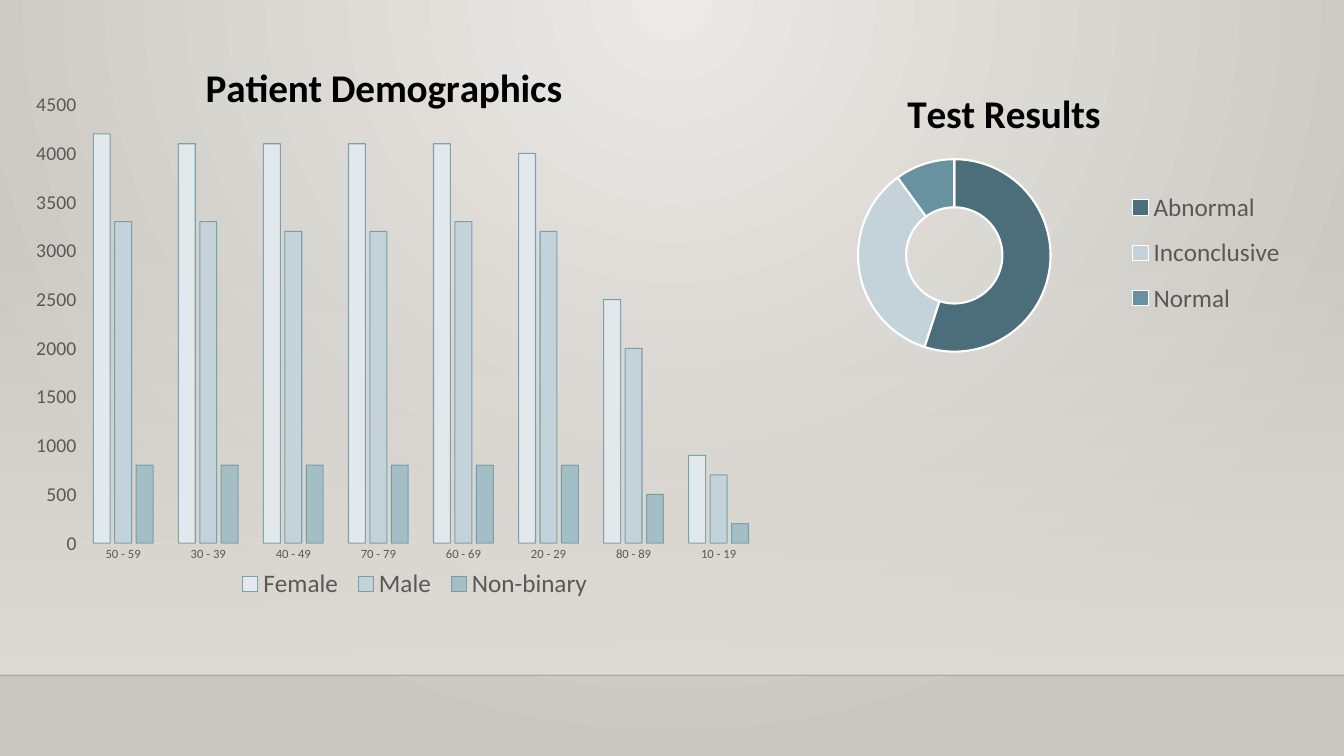
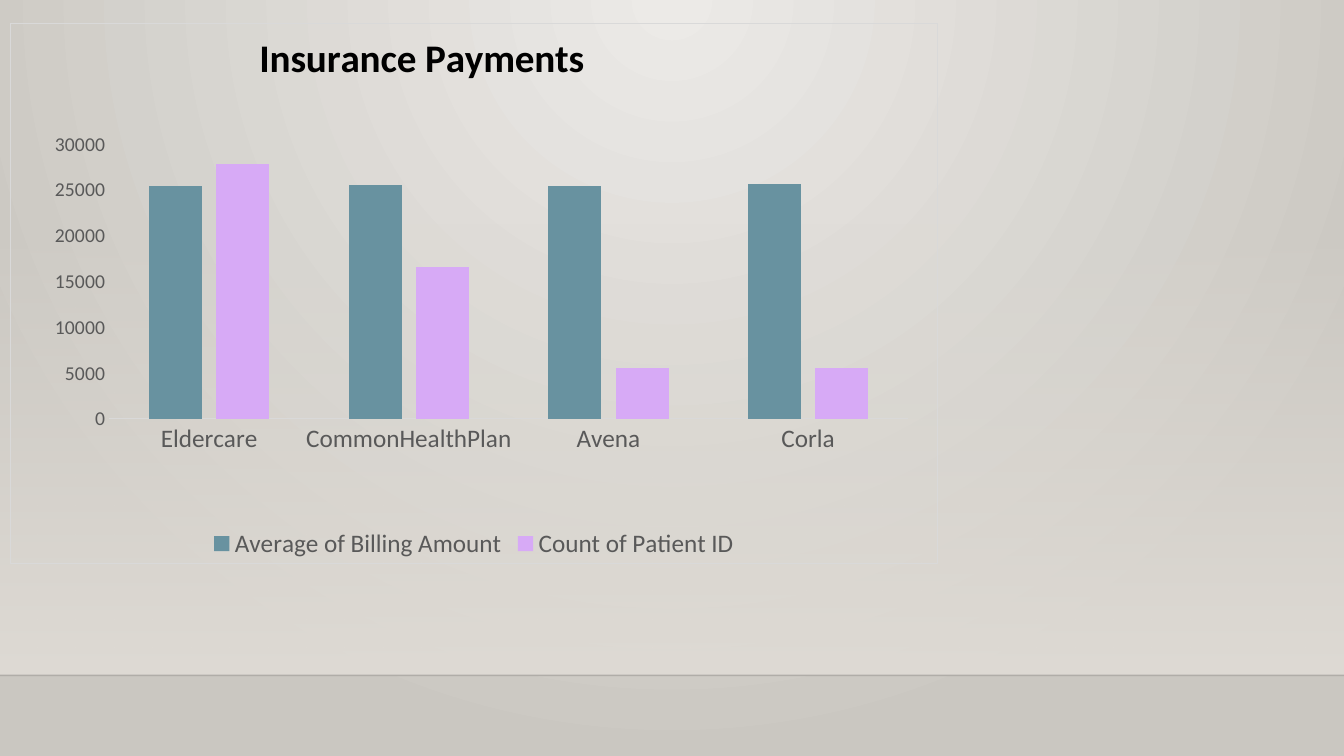
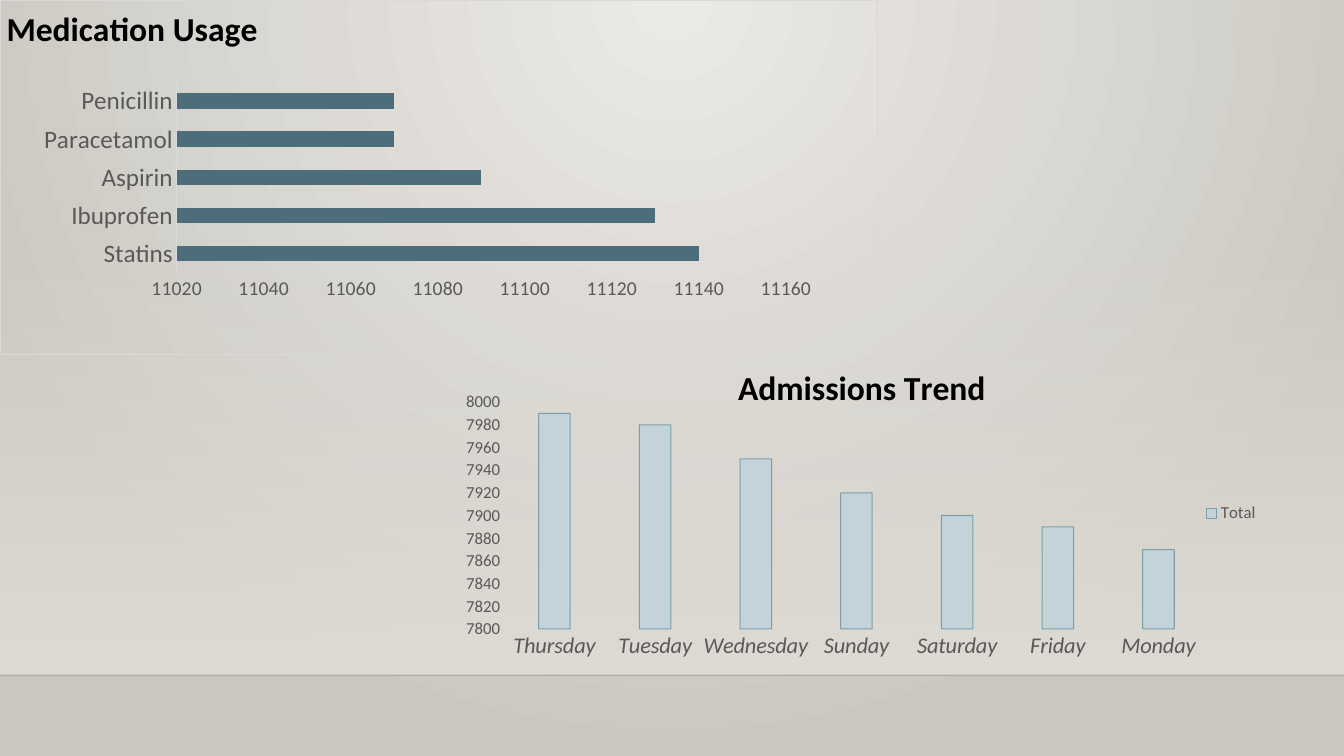
import lxml.etree
import pptx
import pptx.chart.data
import pptx.dml.color
import pptx.enum.chart
import pptx.enum.shapes
import pptx.oxml
import pptx.oxml.ns
import pptx.util

Inches = pptx.util.Inches
Pt = pptx.util.Pt
RGBColor = pptx.dml.color.RGBColor
ChartType = pptx.enum.chart.XL_CHART_TYPE
LegendPosition = pptx.enum.chart.XL_LEGEND_POSITION
TickMark = pptx.enum.chart.XL_TICK_MARK
qn = pptx.oxml.ns.qn

FONT = "Calibri"
SLIDE_WIDTH, SLIDE_HEIGHT = 13.33, 7.5
HAZE_TOP, HORIZON = 2.21, 6.7

BLACK = RGBColor(0x00, 0x00, 0x00)
WHITE = RGBColor(0xFF, 0xFF, 0xFF)
LABEL_GRAY = RGBColor(0x59, 0x59, 0x59)
RULE_GRAY = RGBColor(0xD9, 0xD9, 0xD9)
WALL_LIGHT = RGBColor(0xEC, 0xEA, 0xE7)
WALL_DARK = RGBColor(0xCA, 0xC7, 0xC1)
HAZE = RGBColor(0xDF, 0xDB, 0xD5)
DEEP_TEAL = RGBColor(0x4C, 0x6E, 0x7A)
TEAL = RGBColor(0x68, 0x92, 0xA0)
SOFT_TEAL = RGBColor(0xA4, 0xBE, 0xC6)
MIST = RGBColor(0xC3, 0xD3, 0xD9)
PALE_MIST = RGBColor(0xE1, 0xE9, 0xEC)
LILAC = RGBColor(0xD7, 0xAA, 0xF6)


def xml(markup):
    """Parse markup after declaring the prefixes a, c and p on its root."""
    tag = markup[1:].split(">")[0].split(" ")[0].rstrip("/")
    declared = pptx.oxml.ns.nsdecls("a", "c", "p")
    return pptx.oxml.parse_xml(markup.replace(tag, f"{tag} {declared}", 1))


def gradient(start, end, direction, start_alpha=100):
    return (
        '<a:gradFill rotWithShape="1"><a:gsLst>'
        f'<a:gs pos="0"><a:srgbClr val="{start}">'
        f'<a:alpha val="{start_alpha * 1000}"/></a:srgbClr></a:gs>'
        f'<a:gs pos="100000"><a:srgbClr val="{end}"/></a:gs>'
        f"</a:gsLst>{direction}</a:gradFill>"
    )


def set_line(line, color, width, alpha=100):
    line.color.rgb = color
    line.width = Pt(width)
    if alpha < 100:
        for shade in line.fill._xPr.iter(qn("a:srgbClr")):
            lxml.etree.SubElement(shade, qn("a:alpha"), val=str(alpha * 1000))


def set_font(font, size, color=LABEL_GRAY, bold=False, italic=False):
    font.name = FONT
    font.size = Pt(size)
    font.color.rgb = color
    font.bold = bold
    font.italic = italic


def dress_master(master, slide):
    """Give the master its backdrop; shapes are drawn on slide, then moved."""
    spotlight = (
        '<a:path path="circle">'
        '<a:fillToRect l="43000" t="0" r="43000" b="100000"/></a:path>'
    )
    master.background.fill.solid()
    wall = master._element.cSld.find(qn("p:bg"))
    wall.getparent().replace(
        wall,
        xml(
            f"<p:bg><p:bgPr>{gradient(WALL_LIGHT, WALL_DARK, spotlight)}"
            "<a:effectLst/></p:bgPr></p:bg>"
        ),
    )

    haze = slide.shapes.add_shape(
        pptx.enum.shapes.MSO_SHAPE.RECTANGLE,
        0, Inches(HAZE_TOP), Inches(SLIDE_WIDTH), Inches(HORIZON - HAZE_TOP),
    )
    haze.shadow.inherit = False
    haze.line.fill.background()
    haze.fill.solid()
    solid = haze._element.spPr.find(qn("a:solidFill"))
    downward = '<a:lin ang="5400000" scaled="0"/>'
    solid.getparent().replace(solid, xml(gradient(HAZE, HAZE, downward, 0)))

    horizon = slide.shapes.add_connector(
        pptx.enum.shapes.MSO_CONNECTOR.STRAIGHT,
        0, Inches(HORIZON), Inches(SLIDE_WIDTH), Inches(HORIZON),
    )
    set_line(horizon.line, BLACK, 1, 20)
    lxml.etree.SubElement(horizon._element.spPr, qn("a:effectLst"))

    for position, part in enumerate((haze, horizon), start=2):
        master.shapes._spTree.insert(position, part._element)


def place(part, chart_box, at):
    """Lay out a plot area, title or legend, in inches from the chart's corner."""
    target = '<c:layoutTarget val="inner"/>' if part.tag == qn("c:plotArea") else ""
    fractions = "".join(
        f'<c:{side} val="{length / whole:.4f}"/>'
        for side, length, whole in zip("xywh", at, chart_box[2:] * 2)
    )
    layout = xml(
        f"<c:layout><c:manualLayout>{target}"
        '<c:xMode val="edge"/><c:yMode val="edge"/>'
        f"{fractions}</c:manualLayout></c:layout>"
    )
    for former in part.findall(qn("c:layout")):
        part.remove(former)
    overlay = part.find(qn("c:overlay"))
    if overlay is None:
        part.insert(0, layout)
    else:
        overlay.addprevious(layout)


def add_chart(slide, kind, box, categories, series, title, title_size, title_at,
              plot_at, border=False):
    data = pptx.chart.data.CategoryChartData()
    data.categories = categories
    for name, values in series:
        data.add_series(name, values)
    chart = slide.shapes.add_chart(kind, *map(Inches, box), data).chart
    set_font(chart.font, 10, BLACK)
    chart.has_legend = False

    chart.has_title = True
    heading = chart.chart_title.text_frame
    heading.text = title
    set_font(heading.paragraphs[0].runs[0].font, title_size, BLACK, bold=True)
    place(chart.chart_title._element, box, title_at)

    plot_area = chart._chartSpace.chart.plotArea
    place(plot_area, box, plot_at)
    plot_area.append(xml("<c:spPr><a:noFill/><a:ln><a:noFill/></a:ln></c:spPr>"))
    edge = (f'<a:solidFill><a:srgbClr val="{RULE_GRAY}"/></a:solidFill>'
            if border else "<a:noFill/>")
    chart._chartSpace.find(qn("c:txPr")).addprevious(
        xml(f'<c:spPr><a:noFill/><a:ln w="9525">{edge}</a:ln></c:spPr>')
    )
    return chart


def add_legend(chart, position, size):
    chart.has_legend = True
    chart.legend.position = position
    chart.legend.include_in_layout = False
    set_font(chart.legend.font, size)


def style_bars(chart, colors, scale, category_size, value_size, gap=150,
               outlined=False, italic=False):
    """Format the bars and both axes; scale is (minimum, maximum, step)."""
    plot = chart.plots[0]
    plot.gap_width = gap
    plot.overlap = -27
    plot.vary_by_categories = False
    for bars, color in zip(plot.series, colors):
        bars.format.fill.solid()
        bars.format.fill.fore_color.rgb = color
        if outlined:
            set_line(bars.format.line, TEAL, 0.75, 80)

    for axis in (chart.category_axis, chart.value_axis):
        axis.has_major_gridlines = False
        axis.major_tick_mark = axis.minor_tick_mark = TickMark.NONE
    set_font(chart.category_axis.tick_labels.font, category_size, italic=italic)
    set_font(chart.value_axis.tick_labels.font, value_size)
    set_line(chart.category_axis.format.line, RULE_GRAY, 0.75)
    values = chart.value_axis
    values.format.line.fill.background()
    values.minimum_scale, values.maximum_scale, values.major_unit = scale


def style_ring(chart, colors):
    ring = chart.plots[0]
    ring._element.find(qn("c:holeSize")).set("val", "51")
    for index, color in enumerate(colors):
        slice_format = ring.series[0].points[index].format
        slice_format.fill.solid()
        slice_format.fill.fore_color.rgb = color
        set_line(slice_format.line, WHITE, 1.5)


def build_patients(slide):
    demographics_box = (0, 0.43, 7.62, 5.86)
    demographics = add_chart(
        slide, ChartType.COLUMN_CLUSTERED, demographics_box,
        ["50 - 59", "30 - 39", "40 - 49", "70 - 79",
         "60 - 69", "20 - 29", "80 - 89", "10 - 19"],
        [("Female", [4200, 4100, 4100, 4100, 4100, 4000, 2500, 900]),
         ("Male", [3300, 3300, 3200, 3200, 3300, 3200, 2000, 700]),
         ("Non-binary", [800, 800, 800, 800, 800, 800, 500, 200])],
        "Patient Demographics", 28, (1.97, 0.11), (0.8, 0.61, 6.75, 4.35),
    )
    style_bars(demographics, (PALE_MIST, MIST, SOFT_TEAL), (0, 4500, 500), 9, 14,
               outlined=True)
    add_legend(demographics, LegendPosition.TOP, 18)
    place(demographics.legend._element, demographics_box, (2.29, 5.16, 3.65, 0.41))

    results_box = (7.39, 0.23, 5.82, 4.34)
    results = add_chart(
        slide, ChartType.DOUGHNUT, results_box,
        ["Abnormal", "Inconclusive", "Normal"], [("Series 1", [55, 35, 10])],
        "Test Results", 28, (1.54, 0.56), (1.12, 1.35, 1.91, 1.91),
    )
    style_ring(results, (DEEP_TEAL, MIST, TEAL))
    add_legend(results, LegendPosition.RIGHT, 18)
    place(results.legend._element, results_box, (3.76, 1.53, 1.63, 1.5))


def build_insurance(slide):
    payments = add_chart(
        slide, ChartType.COLUMN_CLUSTERED, (0.1, 0.23, 9.2, 5.37),
        ["Eldercare", "CommonHealthPlan", "Avena", "Corla"],
        [("Average of Billing Amount", [25500, 25600, 25400, 25700]),
         ("Count of Patient ID", [27800, 16600, 5600, 5600])],
        "Insurance Payments", 28, (2.4, 0), (0.98, 1.2, 7.93, 2.73),
        border=True,
    )
    style_bars(payments, (TEAL, LILAC), (0, 30000, 5000), 18, 14)
    add_legend(payments, LegendPosition.BOTTOM, 18)


def build_usage(slide):
    medication = add_chart(
        slide, ChartType.BAR_CLUSTERED, (0, 0, 8.71, 3.52),
        ["Statins", "Ibuprofen", "Aspirin", "Paracetamol", "Penicillin"],
        [("Series 1", [11140, 11130, 11090, 11070, 11070])],
        "Medication Usage", 24, (0, 0), (1.75, 0.81, 6.05, 1.9), border=True,
    )
    style_bars(medication, (DEEP_TEAL,), (11020, 11160, 20), 18, 14)

    admissions = add_chart(
        slide, ChartType.COLUMN_CLUSTERED, (3.69, 3.52, 8.9, 3.14),
        ["Thursday", "Tuesday", "Wednesday", "Sunday",
         "Saturday", "Friday", "Monday"],
        [("Total", [7990, 7980, 7950, 7920, 7900, 7890, 7870])],
        "Admissions Trend", 24, (3.57, 0.04), (1.31, 0.47, 6.99, 2.25),
    )
    style_bars(admissions, (MIST,), (7800, 8000, 20), 16, 12, gap=219,
               outlined=True, italic=True)
    add_legend(admissions, LegendPosition.RIGHT, 12)


def main():
    deck = pptx.Presentation()
    deck.slide_width = Inches(SLIDE_WIDTH)
    deck.slide_height = Inches(SLIDE_HEIGHT)
    blank = deck.slide_layouts.get_by_name("Blank")
    builders = (build_patients, build_insurance, build_usage)
    slides = [deck.slides.add_slide(blank) for _ in builders]
    dress_master(deck.slide_master, slides[0])
    for build, slide in zip(builders, slides):
        build(slide)
    deck.save("out.pptx")


if __name__ == "__main__":
    main()
